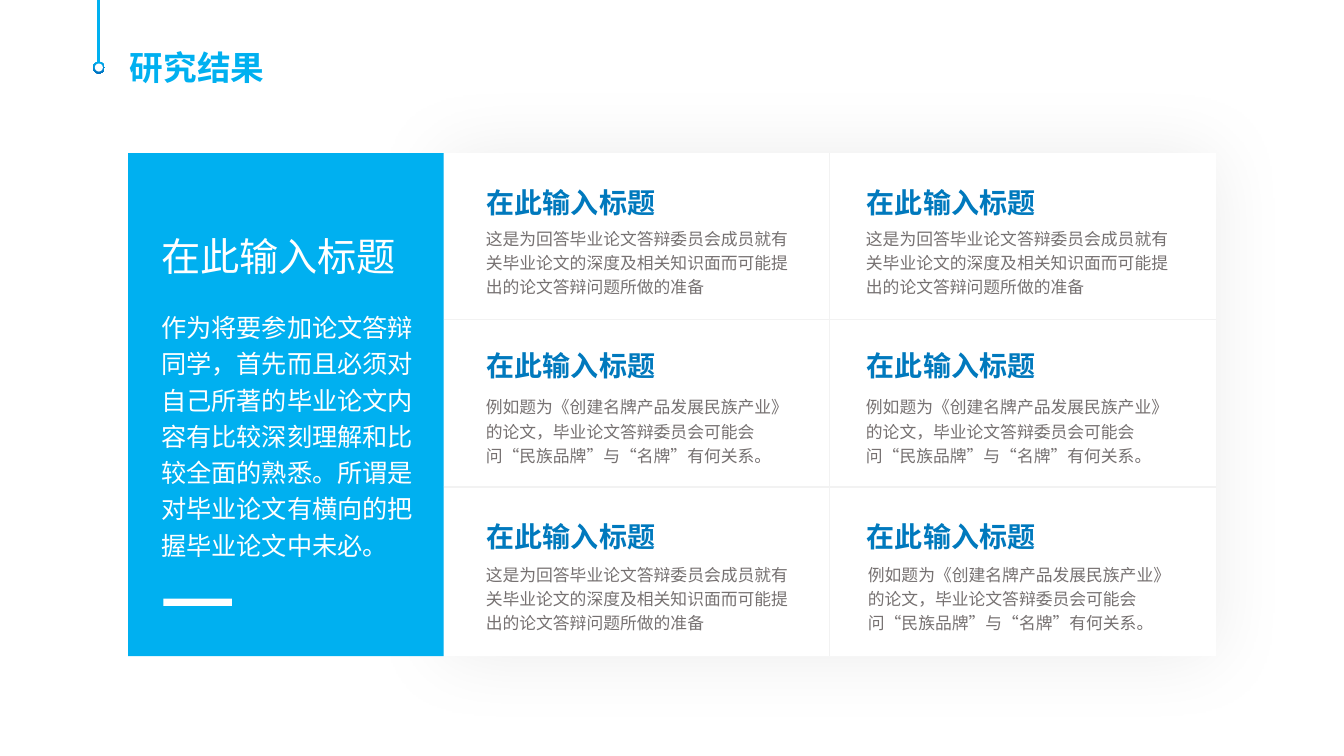
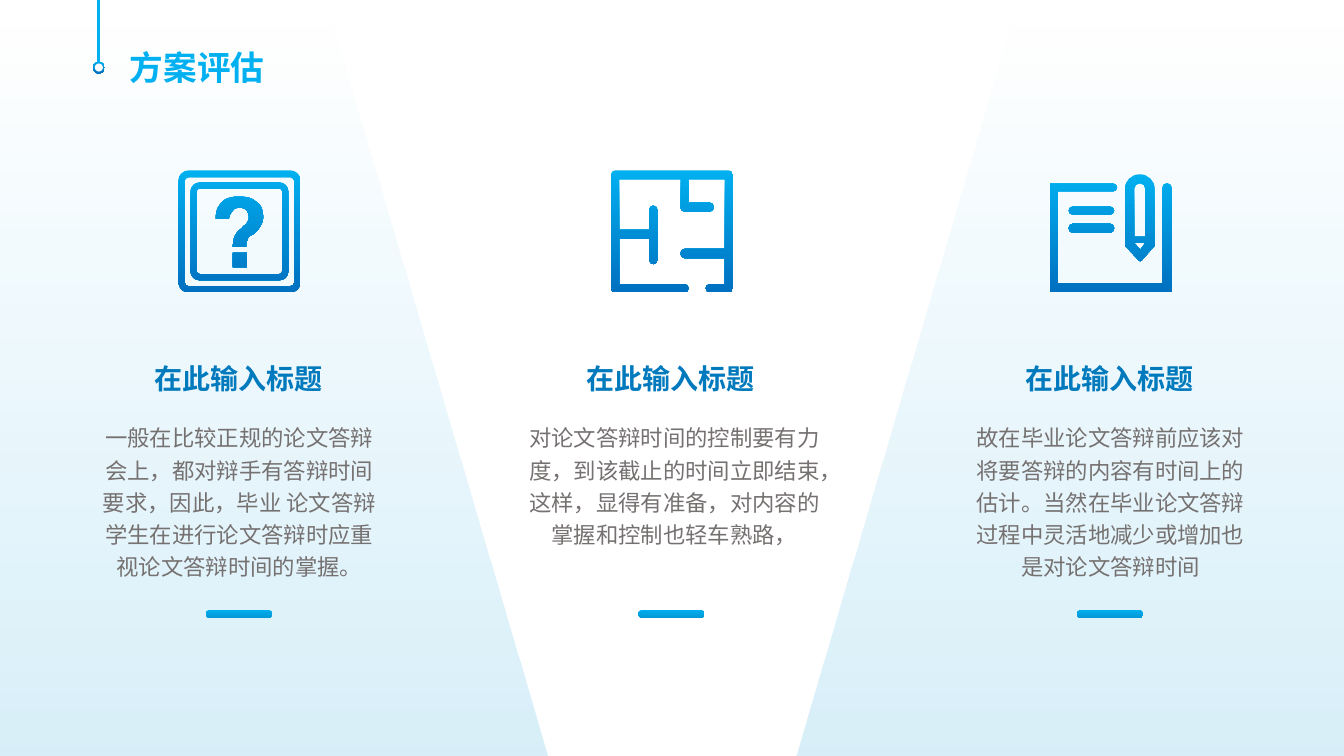
from math import dist

from lxml import etree
from pptx import Presentation
from pptx.dml.color import RGBColor
from pptx.enum.shapes import MSO_CONNECTOR, MSO_SHAPE
from pptx.enum.text import MSO_AUTO_SIZE, PP_ALIGN
from pptx.oxml.ns import qn
from pptx.util import Inches, Pt

RECT, OVAL, PILL = MSO_SHAPE.RECTANGLE, MSO_SHAPE.OVAL, MSO_SHAPE.ROUNDED_RECTANGLE
LEFT, CENTER = PP_ALIGN.LEFT, PP_ALIGN.CENTER


class Theme:
    sans, alt = "Noto Sans CJK SC", "Noto Sans CJK JP"
    sky, white, gray, rule = "00B0F0", "FFFFFF", "767171", "F2F2F2"
    deep = ("00B0F0", "0070C0", 270)
    head = ("0079BD", "00B0F0", 315)
    bar = ("00AEEE", "0498D7", 270)
    title, lead, sub, intro, body, note = 24, 28, 20, 18, 16, 12


WIDE, HIGH = 13.33, 7.5
HEAD = "在此输入标题"

INTRO = "作为将要参加论文答辩同学，首先而且必须对自己所著的毕业论文内容有比较深刻理解和比较全面的熟悉。所谓是对毕业论文有横向的把握毕业论文中未必。"
READY = "这是为回答毕业论文答辩委员会成员就有关毕业论文的深度及相关知识面而可能提出的论文答辩问题所做的准备"
BRAND = "例如题为《创建名牌产品发展民族产业》的论文，毕业论文答辩委员会可能会问“民族品牌”与“名牌”有何关系。"
COLS = (4.72, 8.49)
ROWS = [
    (1.72, 2.18, ((READY, 0), (READY, 0))),
    (3.34, 3.85, ((BRAND, 0), (BRAND, 0))),
    (5.04, 5.51, ((READY, 0), (BRAND, 0.02))),
]


def toward(a, b, part):
    return tuple(p + (q - p) * part for p, q in zip(a, b))


def poly(*marks):
    steps = []
    for i, (x, y, *cut) in enumerate(marks):
        spot = (x, y)
        if not cut:
            steps.append(spot)
            continue
        prev, after = marks[i - 1][:2], marks[(i + 1) % len(marks)][:2]
        start = toward(spot, prev, cut[0] / dist(spot, prev))
        end = toward(spot, after, cut[0] / dist(spot, after))
        curve = toward(start, spot, 0.55) + toward(end, spot, 0.55) + end
        steps += [start, curve]
    return steps


def box(x, y, right, low, cut):
    return poly((x, y, cut), (right, y, cut), (right, low, cut), (x, low, cut))


QUIZ = [
    box(0, 0, 121, 121, 10),
    box(6, 7, 115, 115, 4),
    box(12, 12, 109, 109, 9),
    box(18, 18, 103, 103, 3),
    [(54, 82), (68, 82), (68, 96), (54, 96)],
    [(60, 26), (67, 26, 73, 27, 77, 31), (82, 34, 84, 39, 84, 46),
     (84, 50, 83, 53, 81, 56), (80, 58, 78, 60, 75, 63), (71, 65),
     (69, 67, 68, 68, 68, 70), (67, 71, 67, 73, 67, 76), (54, 76),
     (54, 70, 55, 67, 56, 65), (57, 63, 59, 60, 62, 58), (65, 55),
     (67, 54, 68, 53, 68, 52), (69, 50, 70, 49, 70, 47),
     (70, 44, 69, 42, 68, 40), (67, 38, 64, 37, 60, 37),
     (57, 37, 54, 38, 53, 41), (51, 43, 50, 46, 50, 48), (37, 48),
     (37, 39, 40, 33, 46, 29), (50, 27, 54, 26, 60, 26)],
]
MAZE = [
    poly((121, 0, 4), (0, 0, 4), (0, 121, 4), (77, 121, 4), (77, 113, 4),
         (8, 113), (8, 68), (38, 68), (38, 93, 4), (46, 93, 4), (46, 35, 4),
         (38, 35, 4), (38, 59), (8, 59), (8, 9), (69, 9), (69, 41, 4),
         (102, 41, 4), (102, 32, 4), (77, 32), (77, 9), (113, 9), (113, 78),
         (69, 78, 4), (69, 87, 4), (113, 87), (113, 113), (94, 113, 4),
         (94, 121, 4), (121, 121, 4)),
]
PEN = [
    box(19, 36, 64, 44, 4),
    box(19, 53, 64, 62, 4),
    poly((121, 13, 4), (121, 121), (0, 121), (0, 13), (67, 13, 4), (67, 21, 4),
         (8, 21), (8, 112), (112, 112), (112, 13, 4)),
    poly((75, 4, 14), (104, 4, 14), (104, 75), (90, 91, 2), (75, 75)),
    poly((84, 13, 5), (95, 13, 5), (95, 66), (84, 66)),
    [(84, 72), (95, 72), (90, 79)],
]
PLANS = [
    (2.37, QUIZ, 0.84, 3.07, "一般在比较正规的论文答辩会上，都对辩手有答辩时间要求，因此，毕业 论文答辩学生在进行论文答辩时应重视论文答辩时间的掌握。"),
    (6.66, MAZE, 5.05, 3.28, "对论文答辩时间的控制要有力度，到该截止的时间立即结束，这样，显得有准备，对内容的掌握和控制也轻车熟路，"),
    (11.01, PEN, 9.48, 3.07, "故在毕业论文答辩前应该对将要答辩的内容有时间上的估计。当然在毕业论文答辩过程中灵活地减少或增加也是对论文答辩时间"),
]
SIDE = [(0, 0), (3.23, 0), (5.43, HIGH), (0, HIGH)]


def paint(fill, tint):
    if isinstance(tint, str):
        fill.solid()
        fill.fore_color.rgb = RGBColor.from_string(tint)
        return
    fill.gradient()
    fill.gradient_angle = tint[2]
    for stop, color in zip(fill.gradient_stops, tint):
        stop.color.rgb = RGBColor.from_string(color)


def finish(shape, tint):
    paint(shape.fill, tint)
    shape.line.fill.background()
    shape.shadow.inherit = False
    return shape


def block(slide, kind, x, y, w, h, tint):
    shape = slide.shapes.add_shape(kind, Inches(x), Inches(y), Inches(w), Inches(h))
    return finish(shape, tint)


def curve(shape, steps, base):
    for node, step in zip(list(shape._element.iter(qn("a:lnTo"))), steps):
        if len(step) == 2:
            continue
        node.tag = qn("a:cubicBezTo")
        for i in (2, 0):
            x, y = (round(v - b) for v, b in zip(step[i:i + 2], base))
            spot = etree.Element(qn("a:pt"), x=str(x), y=str(y))
            node.insert(0, spot)


def bezier(shape, steps, base):
    for node, step in zip(list(shape._element.iter(qn("a:lnTo"))), steps):
        if len(step) == 2:
            continue
        bend = etree.Element(qn("a:cubicBezTo"))
        for i in (0, 2, 4):
            x, y = (round(v - b) for v, b in zip(step[i:i + 2], base))
            etree.SubElement(bend, qn("a:pt"), x=str(x), y=str(y))
        node.getparent().replace(node, bend)


def outline(slide, loops, unit, x, y, tint):
    scaled = [[tuple(v * unit for v in step) for step in loop] for loop in loops]
    pen = slide.shapes.build_freeform(*scaled[0][0])
    for i, loop in enumerate(scaled):
        if i:
            pen.move_to(*loop[0])
        pen.add_line_segments([step[-2:] for step in loop[1:]], close=True)
    shape = pen.convert_to_shape(Inches(x), Inches(y))
    ends = [step[-2:] for loop in scaled for step in loop]
    base = [min(axis) for axis in zip(*ends)]
    bezier(shape, [step for loop in scaled for step in loop[1:]], base)
    return finish(shape, tint)


def line(slide, x, y, right, low, tint, width):
    link = slide.shapes.add_connector(
        MSO_CONNECTOR.STRAIGHT, Inches(x), Inches(y), Inches(right), Inches(low))
    paint(link.line.fill, tint)
    link.line.width = Pt(width)
    etree.SubElement(link._element.spPr, qn("a:effectLst"))


def write(slide, text, x, y, w, h, size, tint, face=Theme.sans, bold=False,
          wrap=True, align=LEFT, space=1.2):
    area = slide.shapes.add_textbox(Inches(x), Inches(y), Inches(w), Inches(h))
    frame = area.text_frame
    frame.text = text
    frame.word_wrap = wrap
    frame.auto_size = MSO_AUTO_SIZE.SHAPE_TO_FIT_TEXT
    para = frame.paragraphs[0]
    para.alignment = align
    para.line_spacing = space
    run = para.runs[0]
    font = run.font
    font.size, font.bold, font.name = Pt(size), bold, face
    paint(font.fill, tint)
    props = run._r.get_or_add_rPr()
    props.set("lang", "zh-CN")
    etree.SubElement(props, qn("a:ea")).set("typeface", face)


def header(slide, text):
    write(slide, text, 1.19, 0.34, 1.55, 0.54, Theme.title, Theme.deep,
          bold=True, wrap=False)
    line(slide, 0.98, 0, 0.98, 0.65, Theme.sky, 2.25)
    block(slide, OVAL, 0.92, 0.61, 0.12, 0.12, Theme.deep)
    block(slide, OVAL, 0.94, 0.63, 0.08, 0.08, Theme.white)


def heading(slide, x, y):
    write(slide, HEAD, x, y, 1.88, 0.47, Theme.sub, Theme.head, bold=True, wrap=False)


def glow(shape):
    effects = shape._element.spPr.find(qn("a:effectLst"))
    shade = etree.SubElement(effects, qn("a:outerShdw"), blurRad=str(Pt(55)),
                             dist="0", algn="ctr", rotWithShape="0")
    color = etree.SubElement(shade, qn("a:srgbClr"), val="000000")
    etree.SubElement(color, qn("a:alpha"), val="8000")


def fade(shape, *levels):
    for color, level in zip(shape._element.spPr.iter(qn("a:srgbClr")), levels):
        etree.SubElement(color, qn("a:alpha"), val=str(level * 1000))


def results(slide):
    left, mid, right, top, tall = 4.4, 8.23, 12.06, 1.52, 4.99
    glow(block(slide, RECT, left, top, right - left, tall, Theme.white))
    block(slide, RECT, 1.27, top, left - 1.27, tall, Theme.sky)
    header(slide, "研究结果")
    write(slide, HEAD, 1.5, 2.26, 2.77, 0.57, Theme.lead, Theme.white, Theme.alt, space=1)
    write(slide, INTRO, 1.5, 2.99, 2.77, 2.99, Theme.intro, Theme.white, Theme.alt)
    block(slide, RECT, 1.62, 5.94, 0.68, 0.07, Theme.white)
    line(slide, mid, top, mid, top + tall, Theme.rule, 1)
    for y in (3.17, 4.83):
        line(slide, left, y, right, y, Theme.rule, 1)
    for head, note, cells in ROWS:
        for x, (text, nudge) in zip(COLS, cells):
            heading(slide, x + 0.01, head)
            write(slide, text, x + nudge, note, 3.31, 0.81, Theme.note, Theme.gray)


def review(slide):
    for side in (SIDE, [(WIDE - x, y) for x, y in SIDE]):
        fade(outline(slide, [side], Inches(1), 0, 0, Theme.bar), 0, 16)
    header(slide, "方案评估")
    for mid, icon, x, w, text in PLANS:
        outline(slide, icon, Inches(0.01), mid - 0.6, 1.69, Theme.deep)
        heading(slide, mid - 0.94, 3.47)
        write(slide, text, x, 4.11, w, 1.7, Theme.body, Theme.gray, align=CENTER)
        block(slide, PILL, mid - 0.33, 6.05, 0.66, 0.08, Theme.bar).adjustments[0] = 0.5


def main():
    deck = Presentation()
    deck.slide_width, deck.slide_height = Inches(WIDE), Inches(HIGH)
    for draw in (results, review):
        draw(deck.slides.add_slide(deck.slide_layouts[6]))
    deck.save("out.pptx")


if __name__ == "__main__":
    main()
